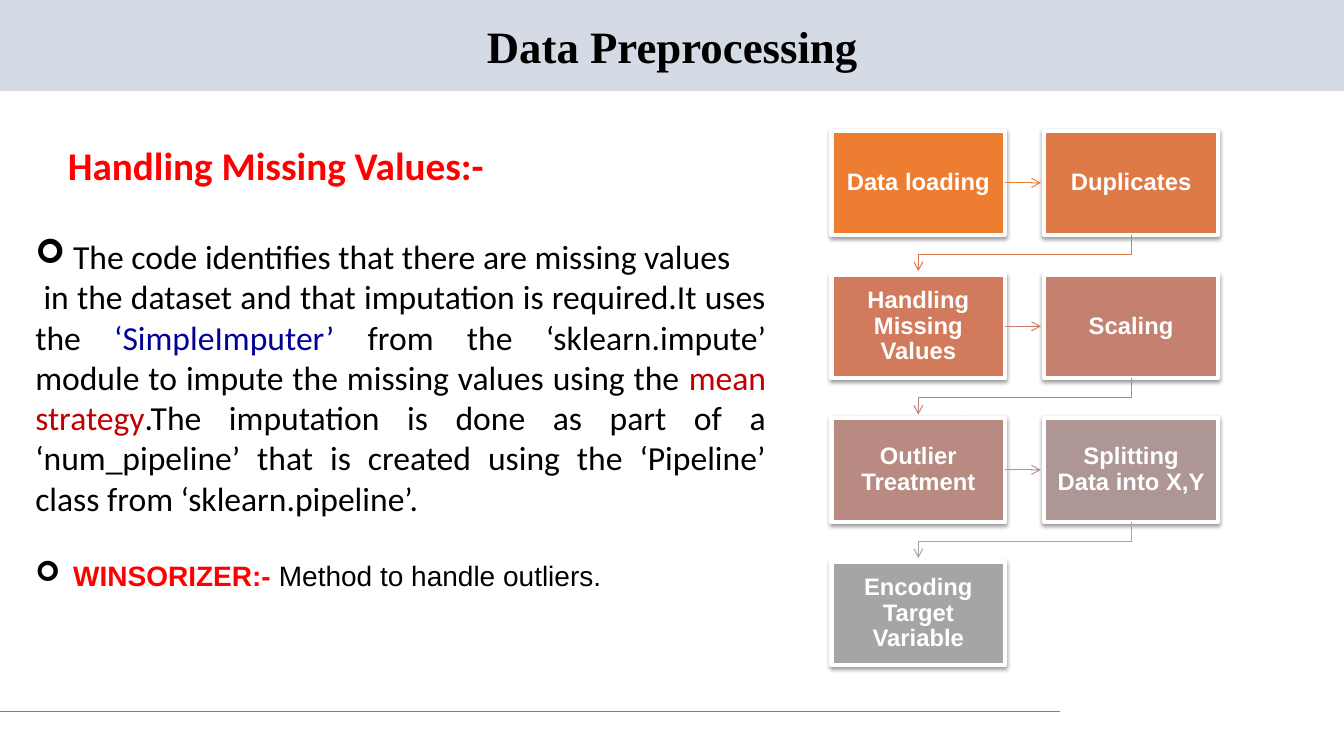
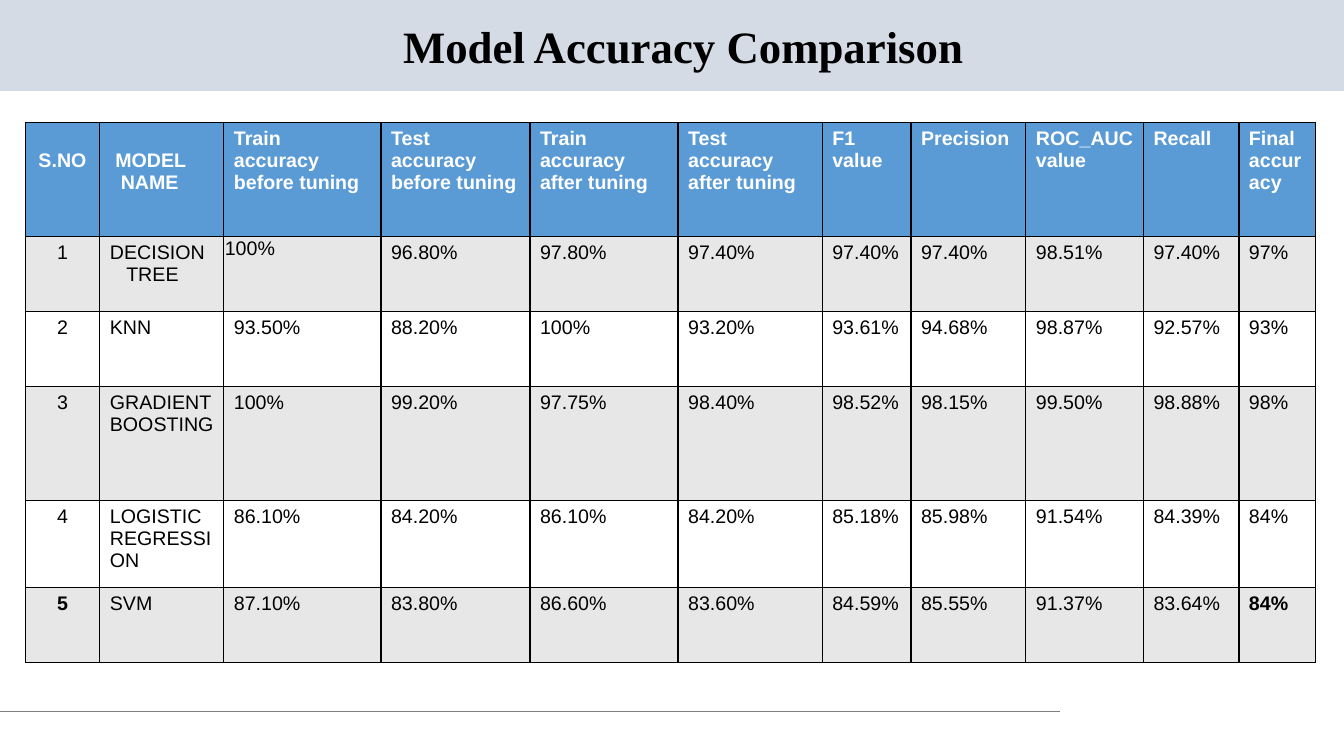
import lxml.etree
import pptx
import pptx.dml.color
import pptx.enum.shapes
import pptx.enum.text
import pptx.oxml.ns
import pptx.util

Pt = pptx.util.Pt
qn = pptx.oxml.ns.qn
ALIGN = pptx.enum.text.PP_ALIGN
ANCHOR = pptx.enum.text.MSO_ANCHOR
AUTO_SIZE = pptx.enum.text.MSO_AUTO_SIZE
RECTANGLE = pptx.enum.shapes.MSO_SHAPE.RECTANGLE
STRAIGHT = pptx.enum.shapes.MSO_CONNECTOR.STRAIGHT

# Shared look
BLACK, WHITE, RED = "000000", "FFFFFF", "FF0000"
BAND, RULE = "D5DBE5", "7F7F7F"
HEADER_FILL, ROW_FILLS = "5B9BD5", ("E7E7E7", WHITE)
TITLE_FONT = dict(name="Times New Roman", size=Pt(32), bold=True)
HEADING_FONT = dict(name="Calibri", size=Pt(28), bold=True)
TEXT_FONT = dict(name="Calibri", size=Pt(24), bold=False)
NOTE_FONT = dict(name="Arial", size=Pt(20), bold=False)
NOTE_LABEL_FONT = dict(NOTE_FONT, bold=True)
STEP_FONT = dict(name="Arial", size=Pt(17), bold=True)
CELL_FONT = dict(name="Arial", size=Pt(14), bold=False)

# Slide 1: paragraphs as (format, left indent, bullet, runs)
LINE = Pt(28.8)
BODY = [
    (dict(space_before=Pt(0)), 23.3, None,
     [("Handling Missing Values:-", HEADING_FONT, RED)]),
    (dict(space_before=Pt(34), line_spacing=LINE, alignment=ALIGN.JUSTIFY), 27, "➢",
     [("The code identifies that there are missing values", TEXT_FONT, BLACK)]),
    (dict(space_before=Pt(0), line_spacing=LINE, alignment=ALIGN.JUSTIFY), 0, None,
     [(" in the dataset and that imputation is required.It uses the ", TEXT_FONT, BLACK),
      ("‘SimpleImputer’ ", TEXT_FONT, "000099"),
      ("from the ‘sklearn.impute’ module to impute the missing values using the ",
       TEXT_FONT, BLACK),
      ("mean strategy", TEXT_FONT, "C00000"),
      (".The imputation is done as part of a ‘num_pipeline’ that is created using "
       "the ‘Pipeline’ class from ‘sklearn.pipeline’.", TEXT_FONT, BLACK)]),
    (dict(space_before=LINE), 27, "➢",
     [("WINSORIZER:- ", NOTE_LABEL_FONT, RED),
      ("Method to handle outliers.", NOTE_FONT, BLACK)]),
]

# Steps as (label, fill, colour of the arrow to the next step)
STEPS = [
    ("Data loading", "ED7D31", "ED7D31"),
    ("Duplicates", "DE7A47", "DC7A4B"),
    ("Handling Missing Values", "D17B5C", "CC7D64"),
    ("Scaling", "C48170", "BD867B"),
    ("Outlier Treatment", "B98A82", "B09391"),
    ("Splitting Data into X,Y", "AE9694", "A5A5A5"),
    ("Encoding Target Variable", "A5A5A5", None),
]
FLOW_LEFT, FLOW_TOP, FLOW_COLUMNS = 594, 93.6, 2
STEP_WIDTH, STEP_HEIGHT = 124, 74
COLUMN_PITCH, ROW_PITCH = 152, 102.5
ARROW_REACH, ELBOW_DROP, ELBOW_REACH = 25.5, 14, 26

# Slide 2: table, a line break starts a new paragraph
TABLE = [
    ["S.NO", "MODEL\nNAME", "Train\naccuracy before tuning", "Test accuracy before tuning",
     "Train accuracy after tuning", "Test accuracy after tuning", "F1 value", "Precision",
     "ROC_AUC value", "Recall", "Final accuracy"],
    ["1", "DECISION\nTREE", "100%", "96.80%", "97.80%", "97.40%", "97.40%", "97.40%",
     "98.51%", "97.40%", "97%"],
    ["2", "KNN", "93.50%", "88.20%", "100%", "93.20%", "93.61%", "94.68%",
     "98.87%", "92.57%", "93%"],
    ["3", "GRADIENT BOOSTING", "100%", "99.20%", "97.75%", "98.40%", "98.52%", "98.15%",
     "99.50%", "98.88%", "98%"],
    ["4", "LOGISTIC REGRESSION", "86.10%", "84.20%", "86.10%", "84.20%", "85.18%", "85.98%",
     "91.54%", "84.39%", "84%"],
    ["5", "SVM", "87.10%", "83.80%", "86.60%", "83.60%", "84.59%", "85.55%",
     "91.37%", "83.64%", "84%"],
]
COLUMN_WIDTHS = [53.3, 88.6, 112.3, 106.4, 105.8, 103, 63.4, 82.1, 84, 68.2, 54.7]
ROW_HEIGHTS = [81.4, 53.5, 53.5, 81.4, 62.6, 53.3]
LOWERED = dict(margin_top=Pt(19.7))
CELL_MARGINS = {
    (0, 0): LOWERED,
    (0, 1): LOWERED,
    (1, 2): dict(margin_left=Pt(0.7), margin_top=Pt(0.7), margin_right=Pt(0.7),
                 margin_bottom=Pt(0)),
}
CELL_INDENTS = {(0, 1): (3.9, 7.8), (1, 1): (0, 11.7)}
BOLD_CELLS = {(5, 0), (5, 10)}


def color(value):
    return pptx.dml.color.RGBColor.from_string(value)


def apply_format(target, values):
    for name, value in values.items():
        setattr(target, name, value)


def set_font(font, values, text_color):
    apply_format(font, values)
    font.color.rgb = color(text_color)


def add_xml(parent, tag, **attributes):
    return lxml.etree.SubElement(parent, qn(tag), attributes)


def set_fill(target, value):
    target.fill.solid()
    target.fill.fore_color.rgb = color(value)


def set_line(shape, value, width, arrow=False):
    shape.line.color.rgb = color(value)
    shape.line.width = Pt(width)
    if arrow:
        add_xml(shape.line._get_or_add_ln(), "a:tailEnd", type="arrow")


def set_indent(paragraph, left, bullet=None):
    properties = paragraph._p.get_or_add_pPr()
    properties.set("marL", str(Pt(left)))
    properties.set("indent", str(-Pt(left) if bullet else 0))
    if bullet:
        add_xml(add_xml(properties, "a:buClr"), "a:srgbClr", val=BLACK)
        add_xml(properties, "a:buFont", typeface="Wingdings")
        add_xml(properties, "a:buChar", char=bullet)
    else:
        add_xml(properties, "a:buNone")


def add_line(slide, start, end, value, arrow=False):
    connector = slide.shapes.add_connector(STRAIGHT, *map(Pt, start + end))
    set_line(connector, value, 0.75, arrow)
    add_xml(connector.element.spPr, "a:effectLst")
    return connector


def add_shared_parts(slide, master):
    """Put the title band and the footer rule behind everything on the master."""
    band = slide.shapes.add_shape(RECTANGLE, 0, 0, Pt(960), Pt(65))
    band.shadow.inherit = False
    set_fill(band, BAND)
    band.line.fill.background()
    rule = add_line(slide, (0, 508), (757, 508), RULE)
    first = master.shapes[0].element
    for number, part in enumerate((band, rule), 101):
        part.element.xpath(".//p:cNvPr")[0].set("id", str(number))
        first.addprevious(part.element)


def place(shape, left, top, width, height):
    apply_format(shape, dict(left=Pt(left), top=Pt(top), width=Pt(width), height=Pt(height)))


def set_title(slide, text, width):
    title = slide.shapes.title
    place(title, 18, 13.7, width, 42.5)
    frame = title.text_frame
    apply_format(frame, dict(text=text, auto_size=AUTO_SIZE.NONE,
                             vertical_anchor=ANCHOR.MIDDLE))
    paragraph = frame.paragraphs[0]
    apply_format(paragraph, dict(alignment=ALIGN.CENTER, line_spacing=0.9))
    set_font(paragraph.runs[0].font, TITLE_FONT, BLACK)


def fill_body(body):
    place(body, 18, 93.6, 536.4, 339)
    frame = body.text_frame
    apply_format(frame, dict(auto_size=AUTO_SIZE.NONE, vertical_anchor=ANCHOR.TOP,
                             margin_top=Pt(7.2), margin_bottom=Pt(7.2)))
    for index, (values, left, bullet, runs) in enumerate(BODY):
        paragraph = frame.add_paragraph() if index else frame.paragraphs[0]
        apply_format(paragraph, values)
        set_indent(paragraph, left, bullet)
        for text, font, text_color in runs:
            run = paragraph.add_run()
            run.text = text
            set_font(run.font, font, text_color)


def add_step(slide, label, fill, left, top):
    box = slide.shapes.add_shape(RECTANGLE, *map(Pt, (left, top, STEP_WIDTH, STEP_HEIGHT)))
    set_fill(box, fill)
    set_line(box, WHITE, 3)
    effects = add_xml(box.element.spPr, "a:effectLst")
    shadow = add_xml(effects, "a:outerShdw", blurRad=str(Pt(3.1)), dist=str(Pt(1.6)),
                     dir="5400000", rotWithShape="0")
    add_xml(add_xml(shadow, "a:srgbClr", val=BLACK), "a:alpha", val="38000")
    frame = box.text_frame
    margins = {"margin_" + side: Pt(9) for side in ("left", "top", "right", "bottom")}
    apply_format(frame, dict(margins, text=label, word_wrap=True,
                             vertical_anchor=ANCHOR.MIDDLE))
    paragraph = frame.paragraphs[0]
    apply_format(paragraph, dict(alignment=ALIGN.CENTER, line_spacing=0.9))
    set_font(paragraph.runs[0].font, STEP_FONT, WHITE)
    return box


def add_elbow(slide, left, top, value):
    """Run from the bottom of a right-hand step to the step below on the left."""
    start_x, start_y = left + STEP_WIDTH / 2, top + STEP_HEIGHT
    end_x = start_x - COLUMN_PITCH
    corners = [(start_x, start_y + ELBOW_DROP), (end_x, start_y + ELBOW_DROP),
               (end_x, start_y + ELBOW_REACH)]
    builder = slide.shapes.build_freeform(Pt(start_x), Pt(start_y))
    builder.add_line_segments([(Pt(x), Pt(y)) for x, y in corners], close=False)
    elbow = builder.convert_to_shape()
    elbow.shadow.inherit = False
    elbow.fill.background()
    set_line(elbow, value, 0.75, arrow=True)


def add_flow(slide):
    for index, (label, fill, arrow_color) in enumerate(STEPS):
        row, column = divmod(index, FLOW_COLUMNS)
        left, top = FLOW_LEFT + column * COLUMN_PITCH, FLOW_TOP + row * ROW_PITCH
        box = add_step(slide, label, fill, left, top)
        if arrow_color and column == 0:
            right, middle = left + STEP_WIDTH, top + STEP_HEIGHT / 2
            arrow = add_line(slide, (right, middle), (right + ARROW_REACH, middle),
                             arrow_color, arrow=True)
            arrow.begin_connect(box, 3)
        elif arrow_color:
            add_elbow(slide, left, top, arrow_color)


def fill_cell(cell, text, position):
    row, column = position
    # Borders come before the fill in the cell properties
    properties = cell._tc.get_or_add_tcPr()
    for side in ("a:lnL", "a:lnR", "a:lnT", "a:lnB"):
        border = add_xml(properties, side, w=str(Pt(1)))
        add_xml(add_xml(border, "a:solidFill"), "a:srgbClr", val=BLACK)
    set_fill(cell, ROW_FILLS[(row - 1) % 2] if row else HEADER_FILL)
    apply_format(cell, CELL_MARGINS.get(position, {}))
    cell.text_frame.text = text
    font = dict(CELL_FONT, bold=row == 0 or position in BOLD_CELLS)
    for index, paragraph in enumerate(cell.text_frame.paragraphs):
        paragraph.alignment = ALIGN.LEFT if column else ALIGN.CENTER
        if position in CELL_INDENTS:
            set_indent(paragraph, CELL_INDENTS[position][index])
        set_font(paragraph.runs[0].font, font, BLACK if row else WHITE)


def add_accuracy_table(slide):
    frame = slide.shapes.add_table(len(TABLE), len(COLUMN_WIDTHS), Pt(18), Pt(87.5),
                                   Pt(sum(COLUMN_WIDTHS)), Pt(sum(ROW_HEIGHTS)))
    table = frame.table
    apply_format(table, dict(first_row=False, horz_banding=False))
    for column, width in zip(table.columns, COLUMN_WIDTHS):
        column.width = Pt(width)
    for row, height in zip(table.rows, ROW_HEIGHTS):
        row.height = Pt(height)
    for row, texts in enumerate(TABLE):
        for column, text in enumerate(texts):
            fill_cell(table.cell(row, column), text, (row, column))


def main():
    presentation = pptx.Presentation()
    apply_format(presentation, dict(slide_width=Pt(960), slide_height=Pt(540)))
    layouts = presentation.slide_layouts

    # Slide 1: text and flow of steps
    slide = presentation.slides.add_slide(layouts.get_by_name("Title and Content"))
    add_shared_parts(slide, presentation.slide_master)
    set_title(slide, "Data Preprocessing", 924.5)
    fill_body(slide.placeholders[1])
    add_flow(slide)

    # Slide 2: accuracy table
    slide = presentation.slides.add_slide(layouts.get_by_name("Title Only"))
    set_title(slide, "Model Accuracy Comparison", 940.3)
    add_accuracy_table(slide)

    presentation.save("out.pptx")


if __name__ == "__main__":
    main()
